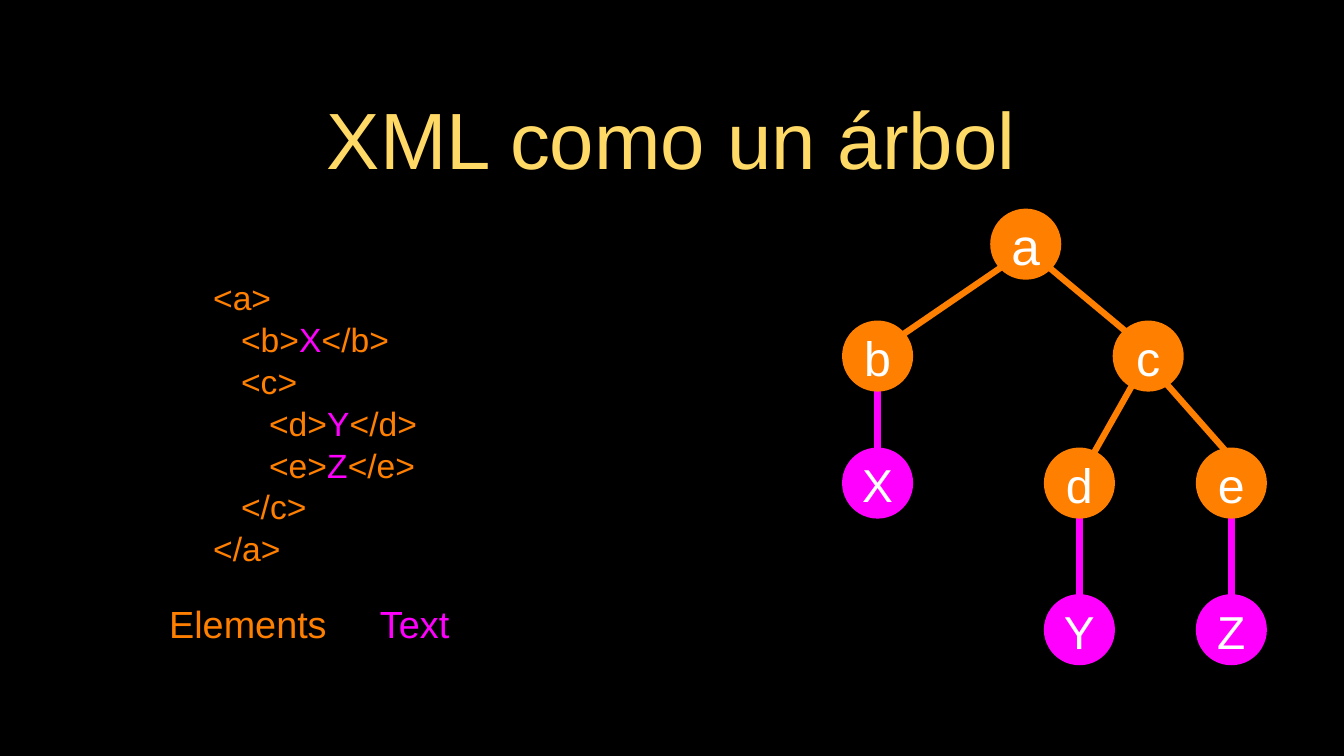
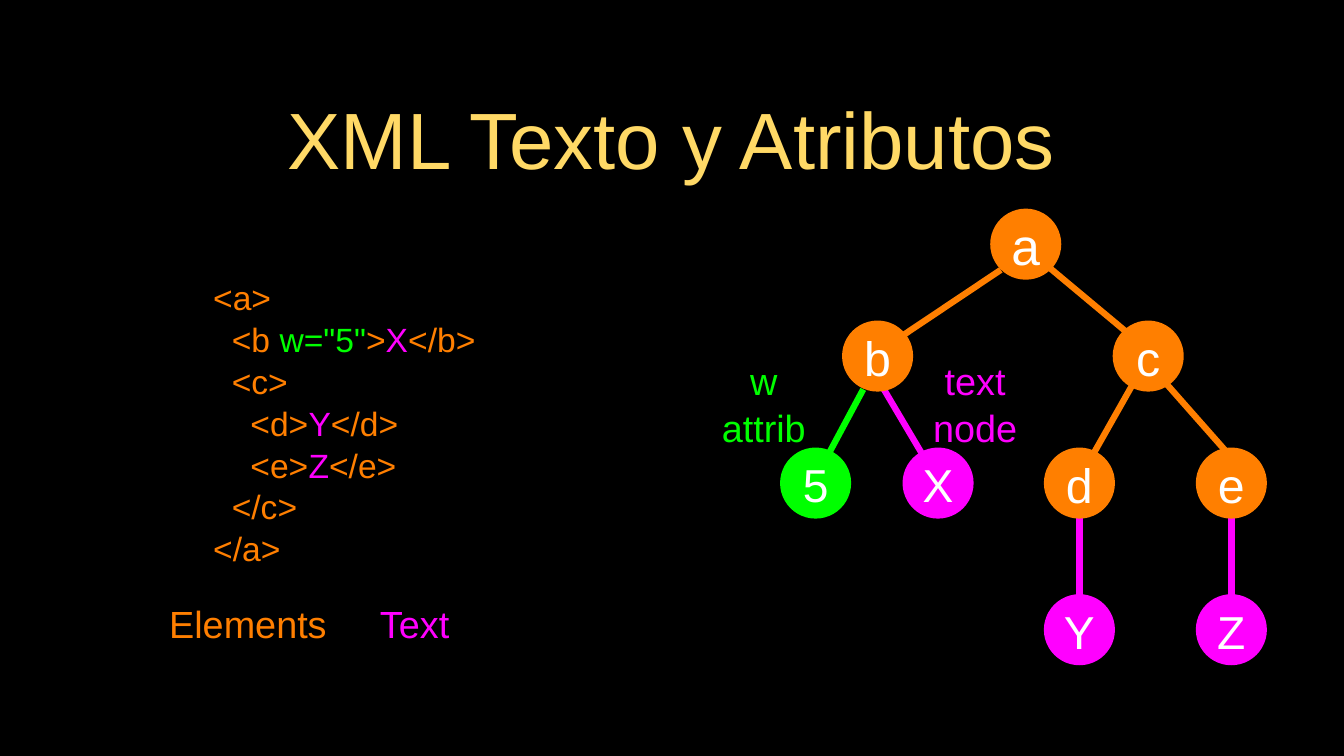
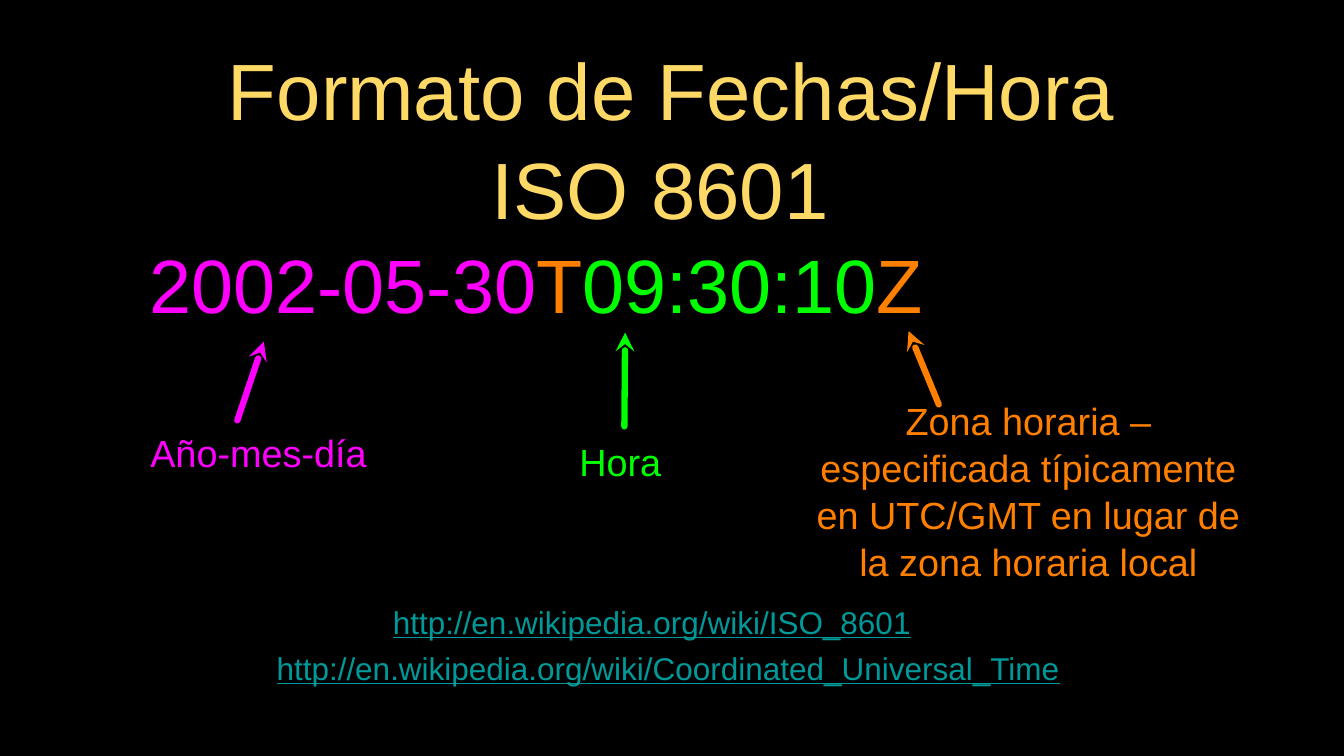
"""Build three slides on XML trees and the ISO 8601 date format."""
from typing import NamedTuple

from lxml.etree import SubElement
from pptx import Presentation
from pptx.dml.color import RGBColor
from pptx.enum.shapes import MSO_CONNECTOR, MSO_SHAPE
from pptx.enum.text import MSO_ANCHOR, MSO_AUTO_SIZE, PP_ALIGN
from pptx.oxml.ns import qn
from pptx.presentation import Presentation as Deck
from pptx.shapes.shapetree import _BaseGroupShapes as Shapes
from pptx.slide import Slide
from pptx.text.text import TextFrame
from pptx.util import Pt

PX = 9144
FONT = "Arial"
NODE_SIDE = 94
LINE_WIDTH = 6
LINE_SPACING = 1.04
COLORS = {
    "background": "000000",
    "title": "FFD966",
    "element": "FF7F00",
    "text": "FF00FF",
    "attribute": "00FF00",
    "label": "FFFFFF",
    "address": "009999",
}


class Span(NamedTuple):
    text: str
    color: str = "element"


class Box(NamedTuple):
    left: int
    top: int
    width: int
    height: int


class Node(NamedTuple):
    label: str
    left: int
    top: int
    color: str = "element"
    size: int = 46


class Edge(NamedTuple):
    start: tuple[int, int]
    end: tuple[int, int]
    color: str = "element"


class Label(NamedTuple):
    lines: list[str]
    box: Box
    color: str
    size: int = 36
    underline: bool = False


Lines = list[list[Span]]

TITLE_BOX = Box(126, 83, 1524, 194)

SHARED_NODES = [
    Node("a", 1310, 276, size=49),
    Node("b", 1114, 424),
    Node("c", 1472, 424),
    Node("d", 1381, 592),
    Node("e", 1582, 592),
    Node("Y", 1381, 786, "text", 44),
    Node("Z", 1582, 786, "text", 44),
]
SHARED_EDGES = [
    Edge((1428, 677), (1428, 790), "text"),
    Edge((1629, 677), (1629, 790), "text"),
    Edge((1381, 348), (1496, 444)),
    Edge((1501, 504), (1441, 610)),
    Edge((1538, 502), (1621, 596)),
]
TREE_NODES = [Node("X", 1114, 592, "text", 44)]
TREE_EDGES = [
    Edge((1161, 501), (1161, 614), "text"),
    Edge((1340, 343), (1182, 451)),
]
ATTRIBUTE_NODES = [
    Node("X", 1194, 592, "text", 44),
    Node("5", 1032, 592, "attribute", 44),
]
ATTRIBUTE_EDGES = [
    Edge((1161, 501), (1222, 604), "text"),
    Edge((1324, 357), (1182, 452)),
    Edge((1142, 515), (1097, 599), "attribute"),
]
LEGEND = [
    Label(["Elements"], Box(212, 790, 232, 68), "element"),
    Label(["Text"], Box(498, 790, 101, 68), "text"),
]
NODE_NOTES = [
    Label(["w", "attrib"], Box(949, 470, 123, 125), "attribute"),
    Label(["text", "node"], Box(1233, 471, 114, 125), "text"),
]
DATE_LABELS = [
    Label(["Año-mes-día"], Box(134, 563, 416, 68), "text"),
    Label(["Hora"], Box(695, 575, 251, 68), "attribute"),
    Label(
        ["Zona horaria – especificada típicamente en UTC/GMT en lugar de la zona horaria local"],
        Box(1071, 557, 579, 182),
        "element",
    ),
    Label(["http://en.wikipedia.org/wiki/ISO_8601"], Box(404, 787, 917, 68), "address", 30, True),
    Label(
        ["http://en.wikipedia.org/wiki/Coordinated_Universal_Time"],
        Box(256, 848, 1256, 68),
        "address",
        30,
        True,
    ),
]
DATE_ARROWS = [
    Edge((349, 452), (314, 556), "text"),
    Edge((827, 440), (826, 564), "attribute"),
    Edge((1202, 438), (1242, 535)),
]
DATE_SPANS = [
    Span("2002-05-30", "text"),
    Span("T"),
    Span("09:30:10", "attribute"),
    Span("Z"),
]


def hex_color(name: str) -> RGBColor:
    return RGBColor.from_string(COLORS[name])


def scale(box: Box) -> list[int]:
    return [length * PX for length in box]


def write_text(
    frame: TextFrame,
    lines: Lines,
    *,
    size: int,
    align: PP_ALIGN = PP_ALIGN.CENTER,
    underline: bool = False,
    inset: int = 0,
    wrap: bool = True,
) -> None:
    frame.word_wrap = wrap
    frame.auto_size = MSO_AUTO_SIZE.NONE
    frame.vertical_anchor = MSO_ANCHOR.MIDDLE
    frame.margin_left = frame.margin_right = inset * PX
    frame.margin_top = frame.margin_bottom = inset * PX
    for index, spans in enumerate(lines):
        para = frame.add_paragraph() if index else frame.paragraphs[0]
        para.alignment = align
        para.line_spacing = LINE_SPACING
        for span in spans:
            for part_index, part in enumerate(span.text.split("\n")):
                if part_index:
                    para.add_line_break()
                run = para.add_run()
                run.text = part
                run.font.name = FONT
                run.font.size = Pt(size)
                run.font.color.rgb = hex_color(span.color)
                if underline:
                    run.font.underline = True


def add_page(deck: Deck, title: str) -> Slide:
    page = deck.slides.add_slide(deck.slide_layouts[5])
    holder = page.shapes.title
    holder.left, holder.top, holder.width, holder.height = scale(TITLE_BOX)
    write_text(holder.text_frame, [[Span(title, "title")]], size=76, inset=4)
    return page


def add_text(page: Slide, box: Box, lines: Lines, *, size: int, **text_format) -> None:
    frame = page.shapes.add_textbox(*scale(box)).text_frame
    write_text(frame, lines, size=size, **text_format)


def add_label(page: Slide, label: Label) -> None:
    lines = [[Span(line, label.color)] for line in label.lines]
    add_text(page, label.box, lines, size=label.size, underline=label.underline)


def add_edge(shapes: Shapes, edge: Edge, arrow: bool = False) -> None:
    ends = [length * PX for length in edge.start + edge.end]
    connector = shapes.add_connector(MSO_CONNECTOR.STRAIGHT, *ends)
    connector.line.color.rgb = hex_color(edge.color)
    connector.line.width = Pt(LINE_WIDTH)
    properties = connector._element.spPr
    SubElement(properties, qn("a:effectLst"))
    if arrow:
        outline = properties.find(qn("a:ln"))
        outline.set("cap", "rnd")
        SubElement(outline, qn("a:headEnd"), type="stealth")


def add_node(shapes: Shapes, node: Node) -> None:
    box = Box(node.left, node.top, NODE_SIDE, NODE_SIDE)
    circle = shapes.add_shape(MSO_SHAPE.OVAL, *scale(box))
    circle.shadow.inherit = False
    circle.fill.solid()
    circle.fill.fore_color.rgb = hex_color(node.color)
    circle.line.fill.background()
    write_text(circle.text_frame, [[Span(node.label, "label")]], size=node.size, wrap=False)


def add_tree(shapes: Shapes, nodes: list[Node], edges: list[Edge]) -> None:
    for edge in SHARED_EDGES + edges:
        add_edge(shapes, edge)
    for node in SHARED_NODES + nodes:
        add_node(shapes, node)


def code_lines(indent: str, opening_b: list[Span]) -> Lines:
    return [
        [Span("<a>")],
        [Span(indent), *opening_b, Span("X", "text"), Span("</b>")],
        [Span(indent + "<c>")],
        [Span(indent * 2 + "<d>"), Span("Y", "text"), Span("</d>")],
        [Span(indent * 2 + "<e>"), Span("Z", "text"), Span("</e>")],
        [Span(indent + "</c>")],
        [Span("</a>")],
    ]


def add_code(page: Slide, width: int, lines: Lines) -> None:
    add_text(page, Box(282, 346, width, 424), lines, size=32, align=PP_ALIGN.LEFT)


def build_tree_page(deck: Deck) -> None:
    page = add_page(deck, "XML como un árbol")
    add_code(page, 298, code_lines("   ", [Span("<b>")]))
    add_tree(page.shapes.add_group_shape().shapes, TREE_NODES, TREE_EDGES)
    for label in LEGEND:
        add_label(page, label)


def build_attribute_page(deck: Deck) -> None:
    page = add_page(deck, "XML Texto y Atributos")
    opening_b = [Span("<b "), Span('w="5"', "attribute"), Span(">")]
    add_code(page, 402, code_lines("  ", opening_b))
    add_tree(page.shapes, ATTRIBUTE_NODES, ATTRIBUTE_EDGES)
    for label in NODE_NOTES + LEGEND:
        add_label(page, label)


def build_date_page(deck: Deck) -> None:
    page = add_page(deck, "Formato de Fechas/Hora\nISO 8601 ")
    add_text(page, Box(198, 309, 1193, 126), [DATE_SPANS], size=72, align=PP_ALIGN.LEFT)
    for label in DATE_LABELS:
        add_label(page, label)
    for arrow in DATE_ARROWS:
        add_edge(page.shapes, arrow, arrow=True)


def main() -> None:
    deck = Presentation()
    deck.slide_width, deck.slide_height = 1778 * PX, 1000 * PX
    background = deck.slide_master.background.fill
    background.solid()
    background.fore_color.rgb = hex_color("background")
    build_tree_page(deck)
    build_attribute_page(deck)
    build_date_page(deck)
    deck.save("out.pptx")


if __name__ == "__main__":
    main()
